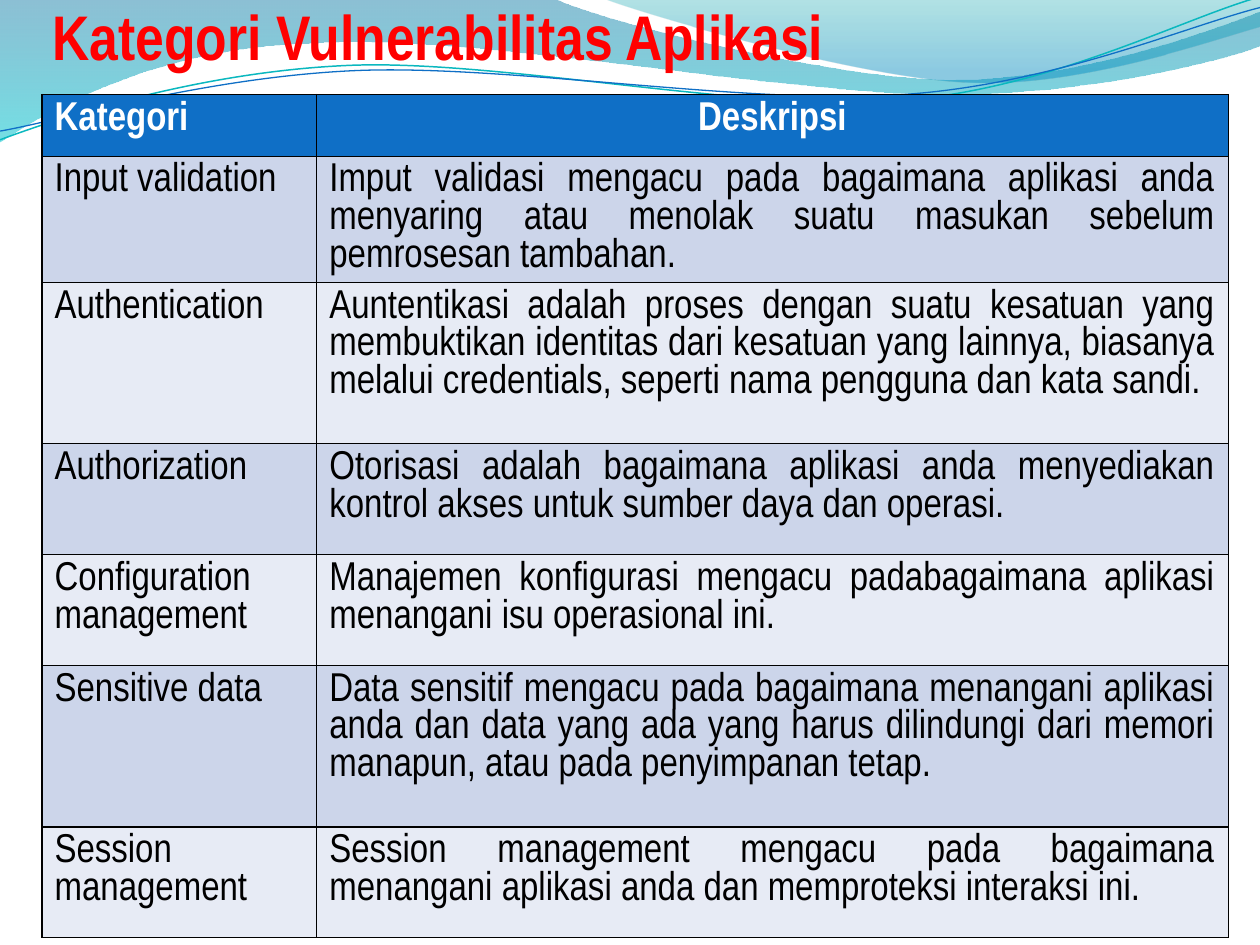
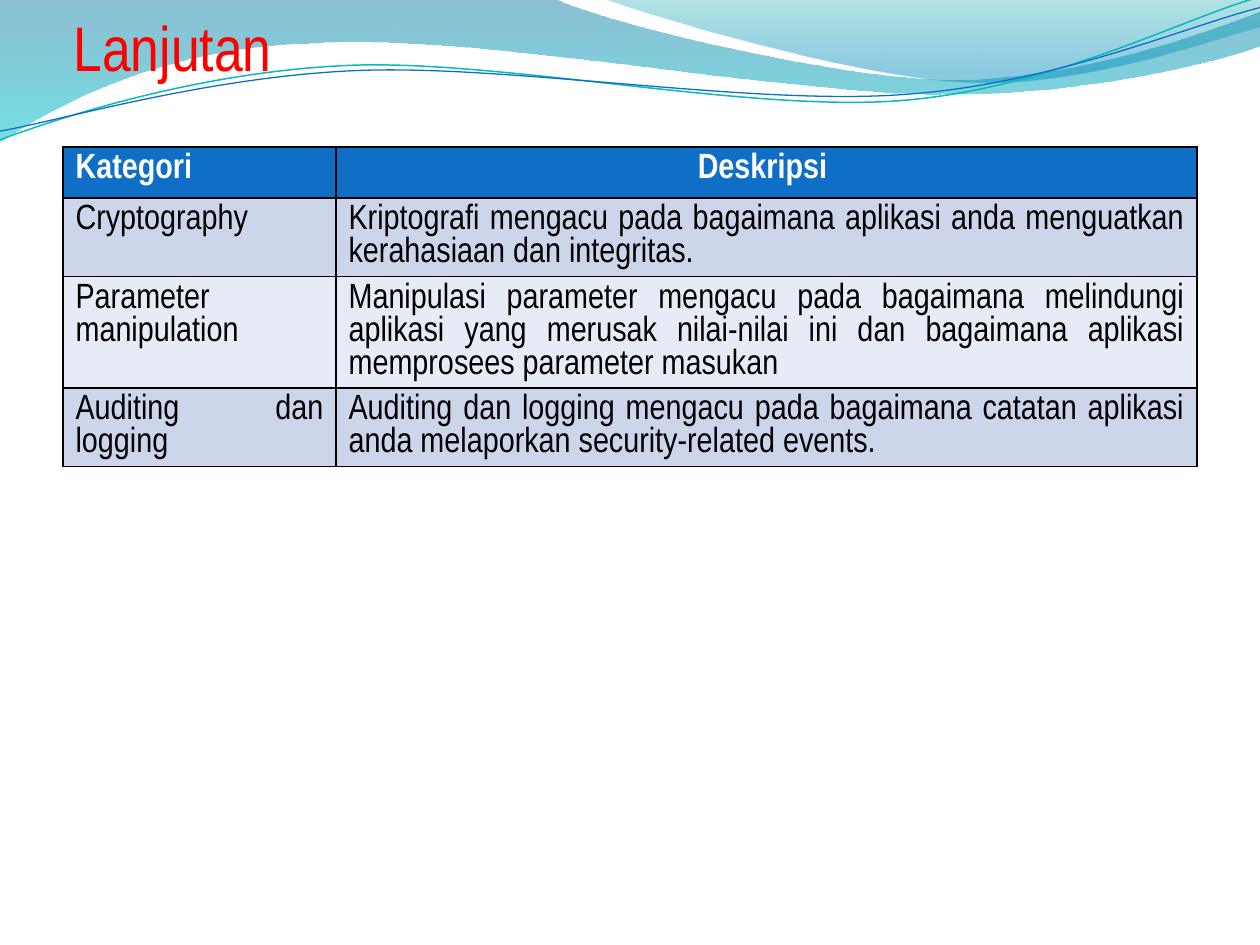
from pptx import Presentation
from pptx import util as u
from pptx.dml.color import RGBColor
from pptx.enum import text
from pptx.oxml import ns, xmlchemy

FONT = "Arial Narrow"
LINE_HEIGHT = 0.94
RED, BLUE, TEAL = "FF0000", "0F6FC6", "0AB8BF"
WHITE, BLACK = "FFFFFF", "000000"
BANDS = ["CCD5EA", "E7EBF5"]
LEFT, CENTER, JUSTIFY = (
    text.PP_ALIGN.LEFT, text.PP_ALIGN.CENTER, text.PP_ALIGN.JUSTIFY)

BROAD_WAVE = [
    (-0.7, -0.7), (316.8, -0.7),
    (342.7, 12.2, 478.1, 45.4, 545.8, 45.4),
    (614.2, 45.4, 689.8, 18.7, 720, 6.5),
    (720.7, 25.9),
    (707.8, 31.7, 626.4, 54.7, 537.1, 54),
    (447.8, 54, 275, 20.2, 185, 24.5),
    (92.9, 25.9, 33.1, 59.8, -0.7, 81.4),
]
RIGHT_WAVE = [
    (344.9, -0.7),
    (366.5, 7.9, 491, 44.6, 553.7, 46.8),
    (616.3, 49.7, 691.9, 23, 720, 15.1),
    (720, -0.7),
]
TEAL_CURVE = [
    (0, 79.9),
    (34.6, 67, 113.8, 41, 199.4, 37.4),
    (284.4, 33.8, 427, 64.1, 513.4, 57.6),
    (599.8, 51.1, 675.4, 10.8, 718.6, -1.4),
]
BLUE_CURVE = [
    (0, 74.9),
    (33.8, 69.1, 118.1, 43.9, 203.8, 40.3),
    (290.2, 36.7, 429.8, 60.5, 516.2, 54),
    (601.9, 48.2, 677.5, 15.1, 720, 4.3),
]

CATEGORIES = [
    ("Kategori", "Deskripsi"),
    ("Input validation ",
     "Imput validasi mengacu pada bagaimana aplikasi anda menyaring atau "
     "menolak suatu masukan sebelum pemrosesan tambahan."),
    ("Authentication",
     "Auntentikasi adalah proses dengan suatu kesatuan yang membuktikan "
     "identitas dari kesatuan yang lainnya, biasanya melalui credentials, "
     "seperti nama pengguna dan kata sandi."),
    ("Authorization",
     "Otorisasi adalah bagaimana aplikasi anda menyediakan kontrol akses "
     "untuk sumber daya dan operasi."),
    ("Configuration management",
     "Manajemen konfigurasi mengacu padabagaimana aplikasi menangani isu "
     "operasional ini."),
    ("Sensitive data",
     "Data sensitif mengacu pada bagaimana menangani aplikasi anda dan data "
     "yang ada yang harus dilindungi dari memori manapun, atau pada "
     "penyimpanan tetap."),
    ("Session management",
     "Session management mengacu pada bagaimana menangani aplikasi anda dan "
     "memproteksi interaksi ini."),
]
MORE_CATEGORIES = [
    ("Kategori", "Deskripsi "),
    ("Cryptography ",
     "Kriptografi mengacu pada bagaimana aplikasi anda menguatkan "
     "kerahasiaan dan integritas."),
    ("Parameter manipulation",
     "Manipulasi parameter mengacu pada bagaimana melindungi aplikasi yang "
     "merusak nilai-nilai ini dan bagaimana aplikasi memprosees parameter "
     "masukan"),
    ("Auditing dan logging",
     "Auditing dan logging mengacu pada bagaimana catatan aplikasi anda "
     "melaporkan security-related events."),
]


def color(value):
    return RGBColor.from_string(value)


def add_curve(slide, nodes, close):
    points = [(u.Pt(node[i]), u.Pt(node[i + 1]))
              for node in nodes for i in range(0, len(node), 2)]
    builder = slide.shapes.build_freeform(*points[0])
    builder.add_line_segments(points[1:], close=close)
    shape = builder.convert_to_shape()
    shape.shadow.inherit = False
    segments = iter(list(shape._element.iter(ns.qn("a:lnTo"))))
    for node in nodes[1:]:
        segment = next(segments)
        if len(node) == 6:
            curve = xmlchemy.OxmlElement("a:cubicBezTo")
            segment.addprevious(curve)
            for part in (segment, next(segments), next(segments)):
                curve.append(part[0])
                part.getparent().remove(part)
    return shape


def add_wave(slide, nodes, stops):
    shape = add_curve(slide, nodes, True)
    shape.line.fill.background()
    shape.fill.gradient()
    shape.fill.gradient_angle = 270
    for stop, (position, value, _) in zip(shape.fill.gradient_stops, stops):
        stop.position = position
        stop.color.rgb = color(value)
    elements = list(shape._element.iter(ns.qn("a:srgbClr")))
    for element, (_, _, opacity) in zip(elements, stops):
        alpha = xmlchemy.OxmlElement("a:alpha")
        alpha.set("val", str(opacity * 1000))
        element.append(alpha)


def add_curved_line(slide, nodes, value, width):
    shape = add_curve(slide, nodes, False)
    shape.fill.background()
    shape.line.color.rgb = color(value)
    shape.line.width = u.Pt(width)


def add_background(slide):
    add_wave(slide, BROAD_WAVE, [(0, "0074A1", 45), (1, "00C6CF", 55)])
    add_wave(slide, RIGHT_WAVE, [(0, "00A1A9", 30), (0.8, "008BBF", 45)])
    add_curved_line(slide, TEAL_CURVE, TEAL, 0.85)
    add_curved_line(slide, BLUE_CURVE, BLUE, 0.75)


def format_text(text_frame, content, size, value, bold, alignment):
    text_frame.text = content
    paragraph = text_frame.paragraphs[0]
    paragraph.alignment = alignment
    font = paragraph.runs[0].font
    font.name, font.size, font.bold = FONT, u.Pt(size), bold
    font.color.rgb = color(value)


def add_title(slide, content, left, height, bold, alignment):
    box = slide.shapes.add_textbox(u.Pt(left), 0, u.Pt(648), u.Pt(height))
    frame = box.text_frame
    frame.word_wrap = True
    frame.vertical_anchor = text.MSO_ANCHOR.BOTTOM
    frame.margin_left = frame.margin_right = frame.margin_bottom = 0
    frame.margin_top = u.Pt(3.6)
    format_text(frame, content, 36, RED, bold, alignment)


def add_borders(cell):
    properties = cell._tc.get_or_add_tcPr()
    for side in ("a:lnL", "a:lnR", "a:lnT", "a:lnB"):
        line = xmlchemy.OxmlElement(side)
        line.set("w", str(u.Pt(1)))
        fill = xmlchemy.OxmlElement("a:solidFill")
        black = xmlchemy.OxmlElement("a:srgbClr")
        black.set("val", BLACK)
        fill.append(black)
        line.append(fill)
        properties.append(line)


def add_category_table(slide, rows, left, top, widths, heights, size,
                       first_alignment):
    frame = slide.shapes.add_table(
        len(rows), len(widths), u.Pt(left), u.Pt(top),
        u.Pt(sum(widths)), u.Pt(sum(heights)))
    table = frame.table
    for column, width in zip(table.columns, widths):
        column.width = u.Pt(width)
    for r, (row, height) in enumerate(zip(rows, heights)):
        table.rows[r].height = u.Pt(height)
        header = r == 0
        for c, content in enumerate(row):
            cell = table.cell(r, c)
            add_borders(cell)
            cell.fill.solid()
            cell.fill.fore_color.rgb = color(
                BLUE if header else BANDS[(r - 1) % 2])
            alignment = (first_alignment, CENTER)[c] if header else JUSTIFY
            format_text(cell.text_frame, content, size,
                        WHITE if header else BLACK, header, alignment)
            paragraph = cell.text_frame.paragraphs[0]
            paragraph.line_spacing = u.Pt(size * LINE_HEIGHT)


def main():
    presentation = Presentation()
    presentation.slide_width, presentation.slide_height = u.Pt(720), u.Pt(540)
    blank = presentation.slide_layouts[6]

    slide = presentation.slides.add_slide(blank)
    add_background(slide)
    add_title(slide, "Kategori Vulnerabilitas Aplikasi", 30, 42, True, JUSTIFY)
    add_category_table(slide, CATEGORIES, 24, 54, [157, 521],
                       [35.3, 63.4, 92.2, 63.4, 63.4, 92.2, 63.4], 23, JUSTIFY)

    slide = presentation.slides.add_slide(blank)
    add_background(slide)
    add_title(slide, "Lanjutan", 42, 48, False, LEFT)
    add_category_table(slide, MORE_CATEGORIES, 36, 84, [156, 492],
                       [29.2] * len(MORE_CATEGORIES), 20, LEFT)

    presentation.save("out.pptx")


main()
